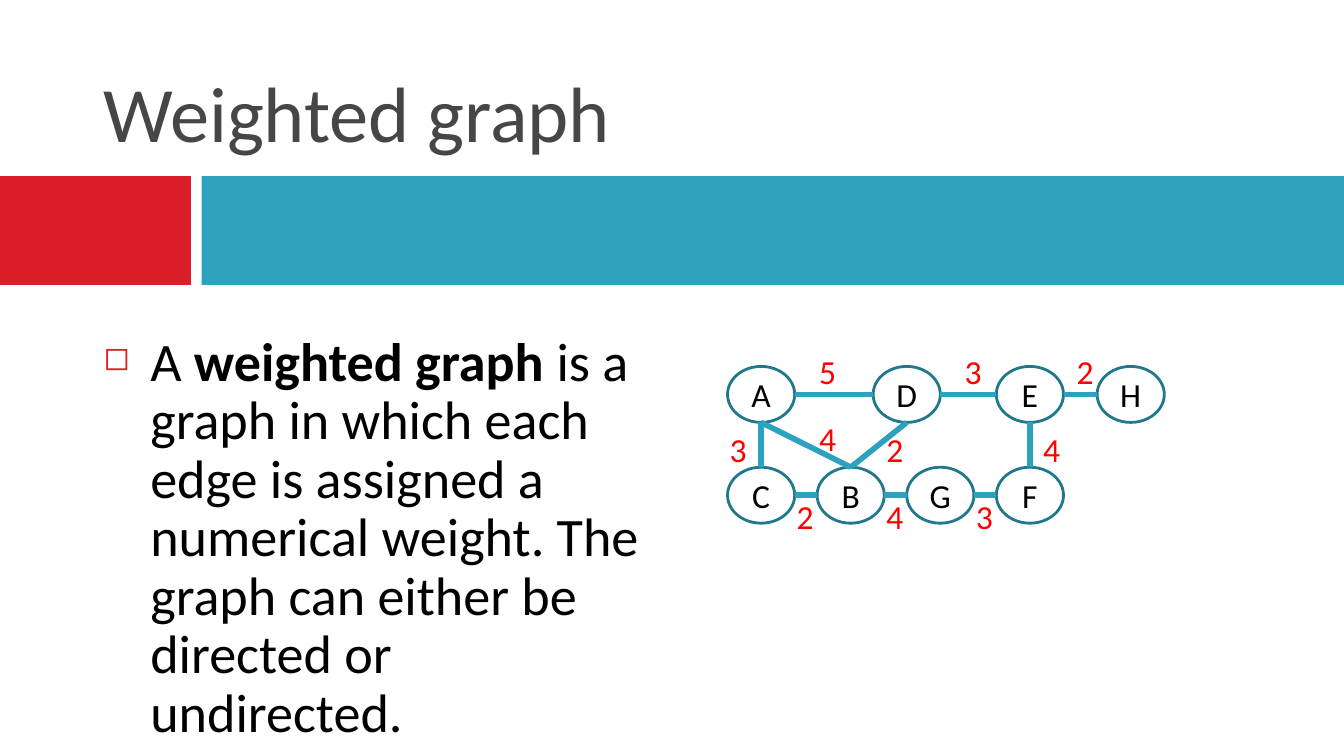
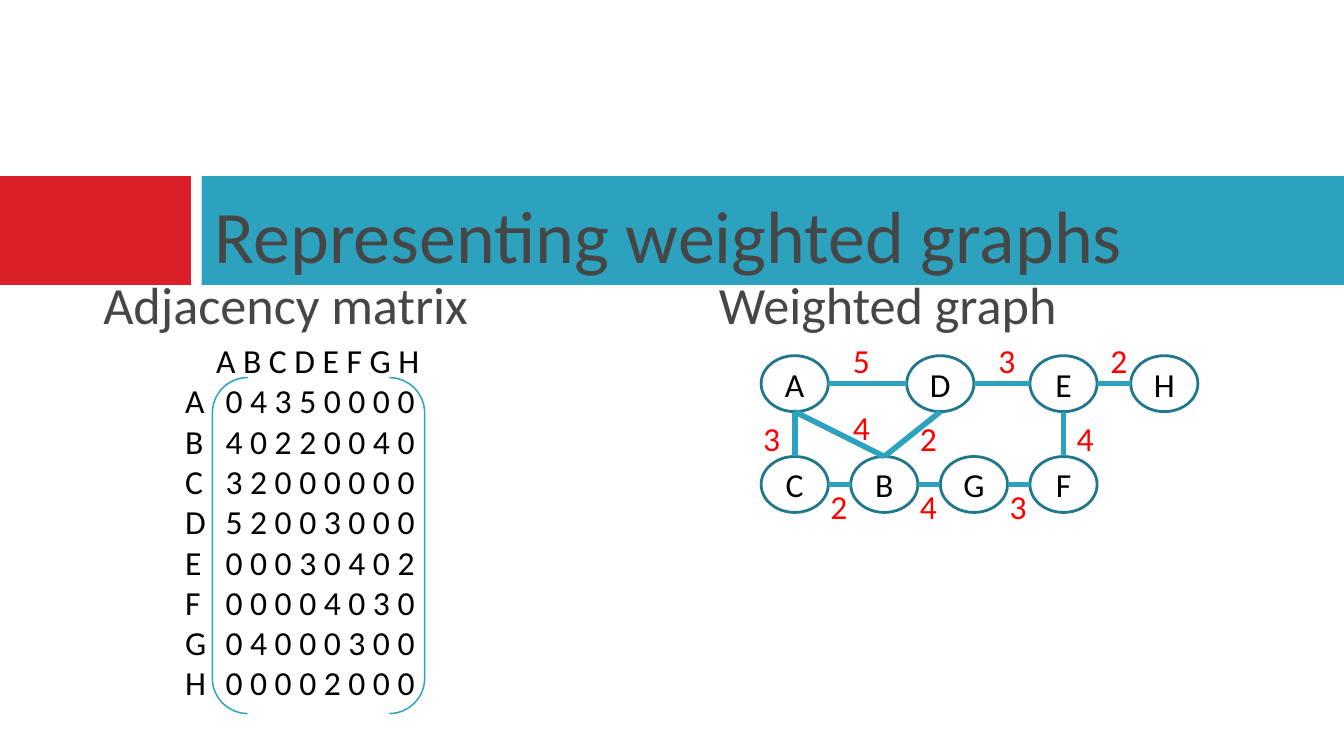
from lxml import etree
from pptx import Presentation
from pptx import util as u
from pptx.dml import color
from pptx.enum import shapes, text
from pptx.oxml import ns

SLIDE_W = 10
SLIDE_H = SLIDE_W * 9 / 16

FONT = "Calibri"
RED, TEAL, DARK_TEAL = "DA1F28", "2DA2BF", "21788D"
GREY, BLACK, WEIGHT_RED = "464646", "000000", "FF0000"

# The graph sits on a grid of twelfths of an inch: node corners as (column, row)
GRID = 1 / 12
NODE_W, NODE_H = 6, 5
NODES = {"A": (1, 2), "D": (14, 2), "E": (25, 2), "H": (34, 2),
         "C": (1, 11), "B": (9, 11), "G": (17, 11), "F": (25, 11)}

# Connection sites of an ellipse: index, and offset from the node's corner
SITES = {"top": (0, NODE_W / 2, 0), "left": (2, 0, NODE_H / 2),
         "bottom": (4, NODE_W / 2, NODE_H), "right": (6, NODE_W, NODE_H / 2)}

# Start node and side, end node and side, weight, place of the weight
EDGES = [("A", "bottom", "C", "top", 3, (0, 7)),
         ("E", "bottom", "F", "top", 4, (28, 7)),
         ("D", "left", "A", "right", 5, (8, 0)),
         ("E", "left", "D", "right", 3, (21, 0)),
         ("H", "left", "E", "right", 2, (31, 0)),
         ("B", "left", "C", "right", 2, (6, 13)),
         ("G", "left", "B", "right", 4, (14, 13)),
         ("F", "left", "G", "right", 3, (22, 13)),
         ("B", "top", "A", "bottom", 4, (8, 6)),
         ("D", "bottom", "B", "top", 2, (14, 7))]

MATRIX = {"A": "0 4 3 5 0 0 0 0", "B": "4 0 2 2 0 0 4 0",
          "C": "3 2 0 0 0 0 0 0", "D": "5 2 0 0 3 0 0 0",
          "E": "0 0 0 3 0 4 0 2", "F": "0 0 0 0 4 0 3 0",
          "G": "0 4 0 0 0 3 0 0", "H": "0 0 0 0 2 0 0 0"}


def rgb(value):
    return color.RGBColor.from_string(value)


def inches(*lengths):
    return [u.Inches(length) for length in lengths]


def write(paragraph, words, size=18, ink=BLACK, bold=False, align=None):
    run = paragraph.add_run()
    run.text = words
    run.font.name, run.font.size, run.font.bold = FONT, u.Pt(size), bold
    run.font.color.rgb = rgb(ink)
    if align is not None:
        paragraph.alignment = align


def add_text(slide, box, words="", anchor=text.MSO_ANCHOR.TOP, **style):
    frame = slide.shapes.add_textbox(*inches(*box)).text_frame
    frame.word_wrap = True
    frame.vertical_anchor = anchor
    if words:
        write(frame.paragraphs[0], words, **style)
    return frame


def add_shape(slide, kind, box, fill=None, line=None, width=1):
    shape = slide.shapes.add_shape(kind, *inches(*box))
    shape.shadow.inherit = False
    if fill:
        shape.fill.solid()
        shape.fill.fore_color.rgb = rgb(fill)
    else:
        shape.fill.background()
    if line:
        shape.line.color.rgb = rgb(line)
        shape.line.width = u.Pt(width)
    else:
        shape.line.fill.background()
    return shape


def set_bullet(paragraph, char, ink, percent, indent):
    props = paragraph._p.get_or_add_pPr()
    props.set("marL", str(u.Inches(indent)))
    props.set("indent", str(-u.Inches(indent)))
    bullet_color = etree.SubElement(props, ns.qn("a:buClr"))
    etree.SubElement(bullet_color, ns.qn("a:srgbClr"), val=ink)
    etree.SubElement(props, ns.qn("a:buSzPct"), val=str(percent * 1000))
    etree.SubElement(props, ns.qn("a:buChar"), char=char)


def set_tabs(paragraph, *stops):
    tabs = etree.SubElement(paragraph._p.get_or_add_pPr(), ns.qn("a:tabLst"))
    for stop in stops:
        etree.SubElement(tabs, ns.qn("a:tab"), pos=str(u.Inches(stop)), algn="l")


def add_base(deck, title, box, size):
    """Blank slide with the two bands and a title."""
    slide = deck.slides.add_slide(deck.slide_layouts[6])
    for left, width, fill in ((0, 1.42, RED), (1.5, 8.5, TEAL)):
        add_shape(slide, shapes.MSO_SHAPE.RECTANGLE, (left, 1.31, width, 0.81), fill)
    add_text(slide, box, title, text.MSO_ANCHOR.BOTTOM, size=size, ink=GREY)
    return slide


def add_edge(slide, ends, points):
    edge = slide.shapes.add_connector(shapes.MSO_CONNECTOR.STRAIGHT,
                                      *inches(*points[0], *points[1]))
    edge.line.color.rgb = rgb(TEAL)
    edge.line.width = u.Pt(3)
    etree.SubElement(edge._element.spPr, ns.qn("a:effectLst"))
    # Ellipses have eight sites, so the joints are written directly
    joints = edge._element.find(".//" + ns.qn("p:cNvCxnSpPr"))
    for tag, (node, site) in zip(("a:stCxn", "a:endCxn"), ends):
        etree.SubElement(joints, ns.qn(tag), id=str(node.shape_id), idx=str(site))


def add_graph(slide, left, top):
    def place(column, row):
        return left + column * GRID, top + row * GRID

    # Nodes
    nodes = {}
    for name, corner in NODES.items():
        box = (*place(*corner), NODE_W * GRID, NODE_H * GRID)
        node = add_shape(slide, shapes.MSO_SHAPE.OVAL, box, line=DARK_TEAL, width=1.5)
        node.text_frame.vertical_anchor = text.MSO_ANCHOR.MIDDLE
        write(node.text_frame.paragraphs[0], name, align=text.PP_ALIGN.CENTER)
        nodes[name] = node

    # Edges
    for start, start_side, end, end_side, _, _ in EDGES:
        ends, points = [], []
        for name, side in ((start, start_side), (end, end_side)):
            site, across, down = SITES[side]
            column, row = NODES[name]
            ends.append((nodes[name], site))
            points.append(place(column + across, row + down))
        add_edge(slide, ends, points)

    # Weights
    for *_, weight, spot in EDGES:
        label = add_text(slide, (*place(*spot), 0.33, 0.4), str(weight), ink=WEIGHT_RED)
        label.auto_size = text.MSO_AUTO_SIZE.SHAPE_TO_FIT_TEXT


def add_definition(slide, box):
    paragraph = add_text(slide, box).paragraphs[0]
    paragraph.line_spacing = 0.9
    paragraph.space_before = u.Pt(7)
    set_bullet(paragraph, "◻", RED, 60, 0.35)
    write(paragraph, "A ", size=29)
    write(paragraph, "weighted graph", size=29, bold=True)
    write(paragraph, " is a graph in which each edge is assigned a numerical weight. "
          "The graph can either be directed or undirected.", size=29)


def add_matrix(slide, left, top):
    frame = add_text(slide, (left, top, 3.17, 2.83))
    frame.auto_size = text.MSO_AUTO_SIZE.SHAPE_TO_FIT_TEXT
    # Column names, then one line for each row
    header = frame.paragraphs[0]
    set_tabs(header, 0.34)
    write(header, "\t" + " ".join(MATRIX))
    for name, weights in MATRIX.items():
        row = frame.add_paragraph()
        set_tabs(row, 0.11, 0.41)
        write(row, f"\t{name}\t{weights}")
    add_shape(slide, shapes.MSO_SHAPE.DOUBLE_BRACKET,
              (left + 0.41, top + 0.33, 1.58, 2.5), line=TEAL, width=0.79)


def build_definition_slide(deck):
    slide = add_base(deck, "Weighted graph", (0.67, 0.13, 8.92, 1.1), 42)
    add_definition(slide, (0.67, 2.44, 4.25, 2.88))
    add_graph(slide, 5.33, 2.56)


def build_matrix_slide(deck):
    slide = add_base(deck, "Representing weighted graphs", (1.5, 1.31, 8.33, 0.81), 39.6)
    for left, heading in ((0.67, "Adjacency matrix"), (5.25, "Weighted graph")):
        add_text(slide, (left, 1.98, 4.25, 0.58), heading, size=28, ink=GREY)
    add_graph(slide, 5.58, 2.48)
    add_matrix(slide, 1.17, 2.48)


def main():
    deck = Presentation()
    deck.slide_width = u.Inches(SLIDE_W)
    deck.slide_height = u.Inches(SLIDE_H)
    build_definition_slide(deck)
    build_matrix_slide(deck)
    deck.save("out.pptx")


if __name__ == "__main__":
    main()
